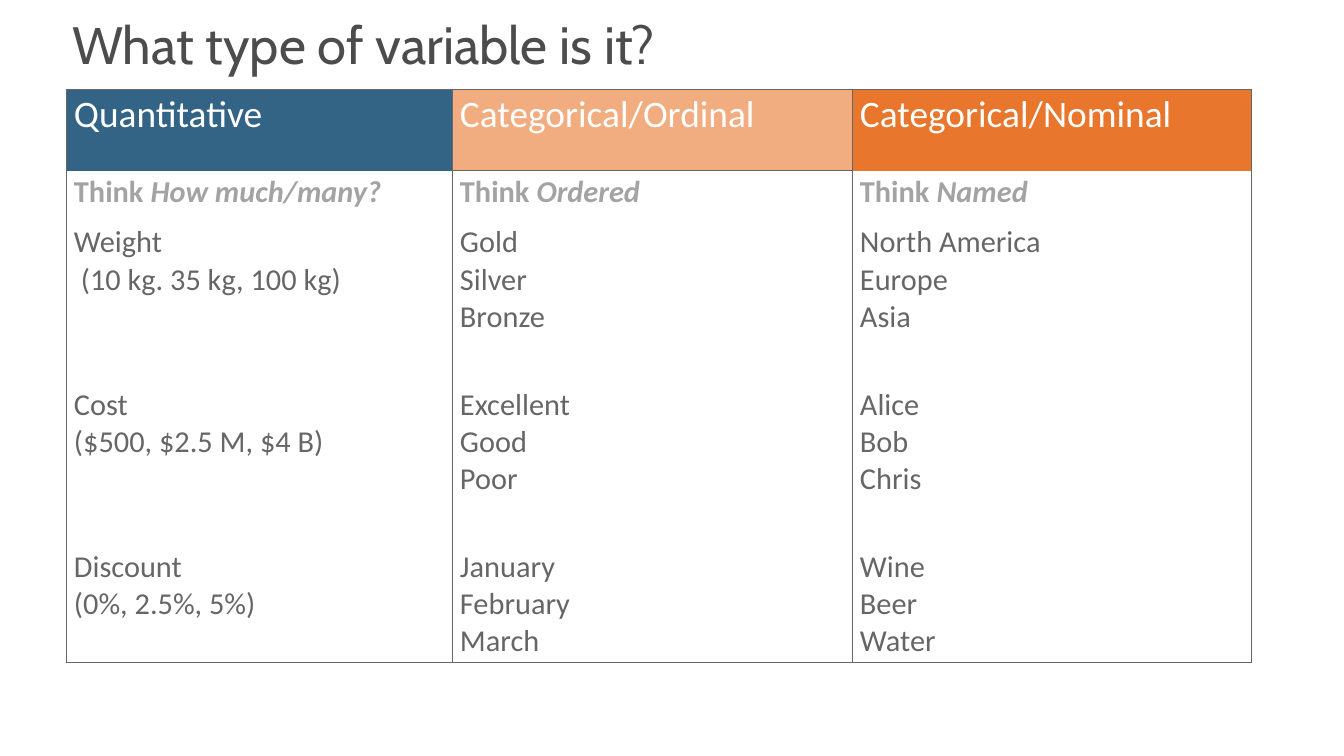
from dataclasses import dataclass

from lxml import etree
from pptx import Presentation
from pptx.dml.color import RGBColor
from pptx.enum.text import MSO_ANCHOR
from pptx.oxml.ns import qn
from pptx.slide import Slide
from pptx.table import Table, _Cell
from pptx.util import Emu, Pt

MIDDLE = MSO_ANCHOR.MIDDLE
PX = 914400 // 84
COLORS = {
    "title": "4C4C4C",
    "text": "666666",
    "hint": "A3A3A3",
    "white": "FFFFFF",
    "blue": "336485",
    "peach": "F1AD80",
    "orange": "E8762C",
}
ROWS = [82, 50, 117, 45, 117, 45, 117]
LAST = len(ROWS) - 1
LEFT, TOP = 66, 89


@dataclass(frozen=True)
class Kind:
    """One column: a type of variable with its hint and groups of examples."""
    name: str
    fill: str
    width: int
    hint: str
    groups: tuple[str, ...]
    rule: bool = False


KINDS = [
    Kind("Quantitative", "blue", 386, "How much/many?",
         ("Weight\n (10 kg. 35 kg, 100 kg)", "Cost\n($500, $2.5 M, $4 B)",
          "Discount\n(0%, 2.5%, 5%)")),
    Kind("Categorical/Ordinal", "peach", 400, "Ordered",
         ("Gold\nSilver\nBronze", "Excellent\nGood\nPoor",
          "January\nFebruary\nMarch"), rule=True),
    Kind("Categorical/Nominal", "orange", 400, "Named",
         ("North America\nEurope\nAsia", "Alice\nBob\nChris",
          "Wine\nBeer\nWater")),
]


def px(count: int) -> Emu:
    return Emu(count * PX)


def rgb(name: str) -> RGBColor:
    return RGBColor.from_string(COLORS[name])


def style(item, size: int, color: str, face: str = "Calibri") -> None:
    """Set the font of a paragraph."""
    item.font.size = Pt(size)
    item.font.name = face
    item.font.color.rgb = rgb(color)


def edge(cell: _Cell, shown: str) -> None:
    """Draw the sides named in shown (L, R, T, B) and clear the rest."""
    props = cell._tc.get_or_add_tcPr()
    for side in "LRTB":
        line = etree.SubElement(props, qn(f"a:ln{side}"), w=str(Pt(1)))
        if side in shown:
            fill = etree.SubElement(line, qn("a:solidFill"))
            etree.SubElement(fill, qn("a:srgbClr"), val=COLORS["text"])
        else:
            etree.SubElement(line, qn("a:noFill"))


def frame(cell: _Cell, fill: str, shown: str) -> None:
    """Give a cell its margins, borders and fill."""
    cell.margin_left = cell.margin_right = px(8)
    cell.margin_top = cell.margin_bottom = px(3)
    edge(cell, shown)
    cell.fill.solid()
    cell.fill.fore_color.rgb = rgb(fill)


def write(cell: _Cell, text: str, size: int, color: str) -> None:
    cell.text = text
    for item in cell.text_frame.paragraphs:
        style(item, size, color)


def add_hint(cell: _Cell, word: str) -> None:
    item = cell.text_frame.paragraphs[0]
    style(item, 26, "hint")
    item.font.bold = True
    item.add_run().text = "Think "
    run = item.add_run()
    run.text = word
    run.font.italic = True


def fill_column(table: Table, col: int, kind: Kind) -> None:
    table.columns[col].width = px(kind.width)
    sides = {0: "LRT", LAST: "LRB"}
    if kind.rule:
        sides |= {0: "LRTB", 1: "LRT"}
    for row in range(len(ROWS)):
        fill = "white" if row else kind.fill
        frame(table.cell(row, col), fill, sides.get(row, "LR"))
    write(table.cell(0, col), kind.name, 32, "white")
    add_hint(table.cell(1, col), kind.hint)
    for step, group in enumerate(kind.groups):
        write(table.cell(2 + 2 * step, col), group, 26, "text")


def add_title(slide: Slide, text: str) -> None:
    box = slide.shapes.add_textbox(px(64), px(23), px(1216), px(53))
    body = box.text_frame
    body.word_wrap = True
    body.vertical_anchor = MIDDLE
    body.margin_left = body.margin_right = px(8)
    body.margin_top = body.margin_bottom = 0
    item = body.paragraphs[0]
    item.text = text
    item.line_spacing = 0.8
    style(item, 45, "title", "Cabin")


def add_grid(slide: Slide) -> None:
    width = sum(kind.width for kind in KINDS)
    table = slide.shapes.add_table(
        len(ROWS), len(KINDS), px(LEFT), px(TOP), px(width), px(sum(ROWS))
    ).table
    table.first_row = table.horz_banding = False
    for row, high in zip(table.rows, ROWS):
        row.height = px(high)
    for col, kind in enumerate(KINDS):
        fill_column(table, col, kind)


def main() -> None:
    deck = Presentation()
    deck.slide_width, deck.slide_height = px(1344), px(756)
    slide = deck.slides.add_slide(deck.slide_layouts[6])
    add_grid(slide)
    add_title(slide, "What type of variable is it?")
    deck.save("out.pptx")


if __name__ == "__main__":
    main()
